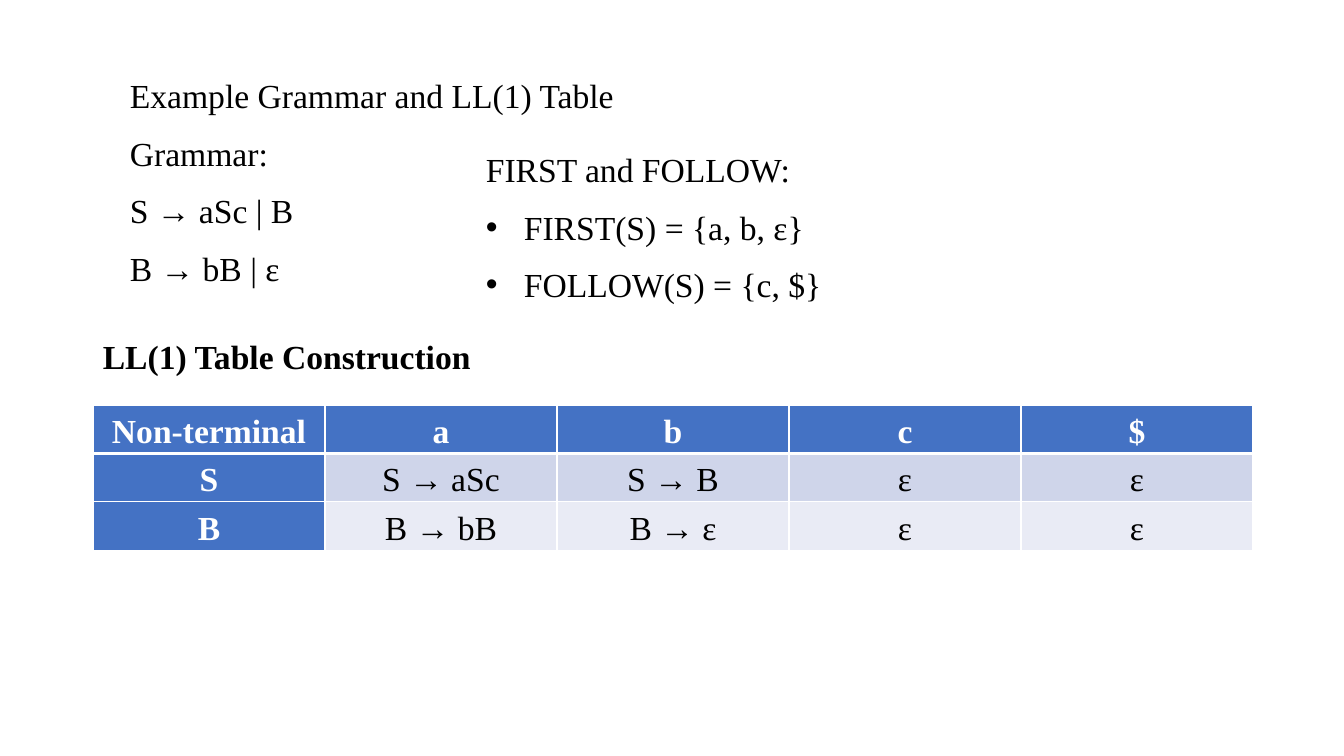
"""Build a slide with an example grammar and its LL(1) table."""
import lxml.etree
import pptx
import pptx.dml.color
import pptx.enum.text
import pptx.oxml
import pptx.oxml.ns
import pptx.util

EMU_PER_PIXEL = 914400 / 100.8
FONT = "Times New Roman"
BLACK, WHITE, BLUE = "000000", "FFFFFF", "4472C4"
BAND_FILLS = ["CFD5EA", "E9EBF5"]
BULLET_INDENT = 38
ROW_HEIGHT, COLUMN_WIDTH = 45, 232

GRAMMAR = ["Example Grammar and LL(1) Table", "Grammar:", "S → aSc | B", "B → bB | ε"]
SETS_HEADING = ["FIRST and FOLLOW:"]
SETS = ["FIRST(S) = {a, b, ε}", "FOLLOW(S) = {c, $}"]
PARSE_TABLE = [
    ["Non-terminal", "a", "b", "c", "$"],
    ["S", "S → aSc", "S → B", "ε", "ε"],
    ["B", "B → bB", "B → ε", "ε", "ε"],
]


def px(length):
    """Turn pixels into EMU."""
    return pptx.util.Emu(round(length * EMU_PER_PIXEL))


def color(value):
    """Turn a hex string into a colour."""
    return pptx.dml.color.RGBColor.from_string(value)


def add_run(paragraph, text, fill=BLACK, bold=False):
    """Add one formatted run to a paragraph."""
    run = paragraph.add_run()
    run.text = text
    run.font.name = FONT
    run.font.size = pptx.util.Pt(24)
    run.font.bold = bold
    run.font.color.rgb = color(fill)


def space_paragraph(paragraph):
    """Give a paragraph the line spacing of body text."""
    paragraph.line_spacing = 1.15
    paragraph.space_after = pptx.util.Pt(8)


def add_bullet(paragraph):
    """Give a paragraph a hanging round bullet."""
    properties = paragraph._p.get_or_add_pPr()
    properties.set("marL", str(px(BULLET_INDENT)))
    properties.set("indent", str(-px(BULLET_INDENT)))
    for tag, name, value in [("a:buFont", "typeface", "Arial"), ("a:buChar", "char", "•")]:
        element = lxml.etree.SubElement(properties, pptx.oxml.ns.qn(tag))
        element.set(name, value)


def add_text_box(slide, left, top, width, height):
    """Add a wrapping text box and return its text frame."""
    frame = slide.shapes.add_textbox(px(left), px(top), px(width), px(height)).text_frame
    frame.word_wrap = True
    frame.auto_size = pptx.enum.text.MSO_AUTO_SIZE.SHAPE_TO_FIT_TEXT
    return frame


def add_lines(frame, lines, bulleted=False):
    """Add spaced lines of text to a text frame."""
    for line in lines:
        first = frame.paragraphs[0]
        paragraph = frame.add_paragraph() if first.runs else first
        space_paragraph(paragraph)
        if bulleted:
            add_bullet(paragraph)
        add_run(paragraph, line)


def set_borders(cell, top, bottom):
    """Draw white cell borders, with top and bottom widths in points."""
    properties = cell._tc.get_or_add_tcPr()
    widths = {"lnL": 1, "lnR": 1, "lnT": top, "lnB": bottom}
    for position, (side, width) in enumerate(widths.items()):
        line = pptx.oxml.parse_xml(
            f'<a:{side} {pptx.oxml.ns.nsdecls("a")} w="{pptx.util.Pt(width)}">'
            f'<a:solidFill><a:srgbClr val="{WHITE}"/></a:solidFill></a:{side}>'
        )
        properties.insert(position, line)


def format_cell(cell, text, row, column):
    """Fill one table cell according to its place."""
    is_header = row == 0 or column == 0
    cell.fill.solid()
    cell.fill.fore_color.rgb = color(BLUE if is_header else BAND_FILLS[row - 1])
    set_borders(cell, top=3 if row == 1 else 1, bottom=3 if row == 0 else 1)
    cell.margin_left = cell.margin_right = px(1)
    cell.margin_top = cell.margin_bottom = px(1)
    cell.vertical_anchor = pptx.enum.text.MSO_ANCHOR.MIDDLE
    paragraph = cell.text_frame.paragraphs[0]
    paragraph.alignment = pptx.enum.text.PP_ALIGN.CENTER
    space_paragraph(paragraph)
    add_run(paragraph, text, WHITE if is_header else BLACK, is_header)


def add_parse_table(slide, left, top, rows):
    """Add the LL(1) table."""
    row_count, column_count = len(rows), len(rows[0])
    table = slide.shapes.add_table(
        row_count, column_count, px(left), px(top),
        px(COLUMN_WIDTH * column_count), px(ROW_HEIGHT * row_count),
    ).table
    table.first_col = True
    for row, texts in enumerate(rows):
        for column, text in enumerate(texts):
            format_cell(table.cell(row, column), text, row, column)


def main():
    """Build and save the presentation."""
    presentation = pptx.Presentation()
    presentation.slide_width = px(1344)
    presentation.slide_height = px(756)
    slide = presentation.slides.add_slide(presentation.slide_layouts[6])

    add_lines(add_text_box(slide, 120, 64, 671, 228), GRAMMAR)
    sets_frame = add_text_box(slide, 476, 138, 671, 169)
    add_lines(sets_frame, SETS_HEADING)
    add_lines(sets_frame, SETS, bulleted=True)
    add_parse_table(slide, 93, 405, PARSE_TABLE)
    table_heading = add_text_box(slide, 93, 331, 671, 50)
    add_run(table_heading.paragraphs[0], "LL(1) Table Construction", bold=True)

    presentation.save("out.pptx")


if __name__ == "__main__":
    main()
